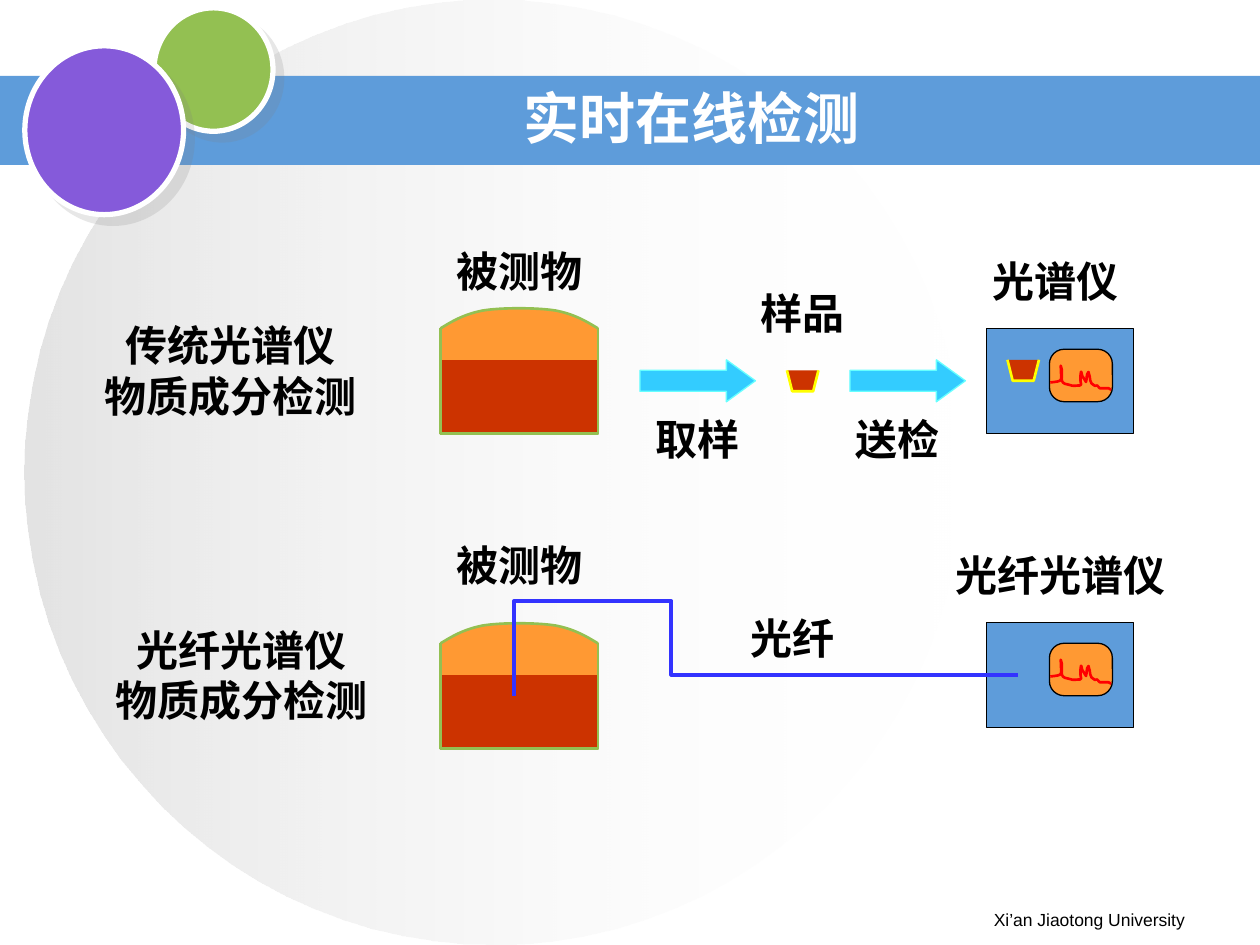
from lxml.etree import SubElement
from pptx import Presentation
from pptx.dml.color import RGBColor
from pptx.enum.shapes import MSO_SHAPE as SHAPE
from pptx.enum.text import MSO_ANCHOR as ANCHOR, PP_ALIGN as ALIGN
from pptx.oxml.ns import qn
from pptx.util import Pt

rgb = RGBColor.from_string
BLUE, GREEN, ORANGE, RED = "5E9CDA", "93C052", "FF9933", "CC3300"

prs = Presentation()
prs.slide_width, prs.slide_height = Pt(720), Pt(540)
slide = prs.slides.add_slide(prs.slide_layouts[5])
shapes = slide.shapes


def style(s, fill=None, line=None, width=0.75):
    s.shadow.inherit = False
    if fill:
        s.fill.solid()
        s.fill.fore_color.rgb = rgb(fill)
    else:
        s.fill.background()
    if line:
        s.line.color.rgb = rgb(line)
        s.line.width = Pt(width)
    else:
        s.line.fill.background()
    return s


def outline(x, y, points, fill, line, width=1.5, curved=False):
    """Draw an open path from points relative to (x, y); curved takes them as a Bezier chain."""
    corners = [(Pt(x + px), Pt(y + py)) for px, py in points]
    builder = shapes.build_freeform(*corners[0], scale=1.0)
    builder.add_line_segments(corners[1:], close=False)
    s = style(builder.convert_to_shape(), fill, line, width)
    if curved:
        track = next(s.element.spPr.iter(qn("a:path")))
        steps = track.findall(qn("a:lnTo"))
        for i in range(0, len(steps), 3):
            curve = SubElement(track, qn("a:cubicBezTo"))
            for step in steps[i:i + 3]:
                curve.append(step[0])
                track.remove(step)


# Backdrop: pale disc, title band, two overlapping circles
disc = style(shapes.add_shape(SHAPE.OVAL, Pt(14), Pt(0), Pt(536), Pt(540)))
disc.fill.gradient()
disc.fill.gradient_angle = 180
for stop, color in zip(disc.fill.gradient_stops, ("FFFFFF", "C0C0C0")):
    stop.color.rgb = rgb(color)
first, last = disc.element.spPr.iter(qn("a:srgbClr"))
for color, alpha in ((first, "0"), (last, "44000")):
    SubElement(color, qn("a:alpha"), val=alpha)

style(shapes.add_shape(SHAPE.RECTANGLE, Pt(0), Pt(43.3), Pt(720), Pt(51)), BLUE)

for x, y, w, h, color in ((88, 4.5, 68, 70.5, GREEN), (14.2, 26.2, 90.7, 96.5, "855ADA")):
    s = style(shapes.add_shape(SHAPE.OVAL, Pt(x), Pt(y), Pt(w), Pt(h)), color, "FFFFFF", 3)
    effects = s.element.spPr.find(qn("a:effectLst"))
    shadow = SubElement(effects, qn("a:outerShdw"), dist=str(Pt(7.1)), dir="2700000",
                        algn="ctr", rotWithShape="0")
    tint = SubElement(shadow, qn("a:srgbClr"), val="808080")
    SubElement(tint, qn("a:alpha"), val="19000")

# Title, brought in front of the band
title = shapes.title
shapes.element.append(title.element)
title.left, title.top, title.width, title.height = Pt(162), Pt(48), Pt(474), Pt(38.4)
title.text_frame.text = "实时在线检测 "
title.text_frame.vertical_anchor = ANCHOR.MIDDLE
p = title.text_frame.paragraphs[0]
p.alignment = ALIGN.CENTER
p.font.name, p.font.size, p.font.bold = "Arial", Pt(32), True
p.font.color.rgb = rgb("FFFFFF")

# Vessel and spectrometer of each method
dome = [(0, 12), (6.5, 8), (13, 4), (24, 1.8), (34.5, 0), (55, 0), (66, 1.8),
        (77, 4), (83.5, 8), (90, 12)]
spectrum = [(0.5, 19), (8.6, 18), (6.5, 18.7), (6.5, 9.4),
            (8.6, 15.1), (4.3, 19.4), (10.8, 20.2),
            (13.7, 20.9), (12.2, 20.9), (14.4, 20.9),
            (20.9, 20.2), (16.6, 22.3), (18, 13),
            (18, 12.2), (18.7, 14.4), (18.7, 15.1),
            (19.4, 17.3), (19.4, 17.3), (20.9, 18.7),
            (21.6, 16.6), (20.9, 14.4), (22.3, 13),
            (23.8, 16.6), (22.3, 19.4), (25.9, 20.9),
            (28.8, 20.2), (26.6, 21.6), (28.8, 22.3),
            (30.2, 22.3), (32.4, 22.3), (33.8, 22.3),
            (34.6, 23), (35.3, 23), (35.3, 23)]
for vessel_y, meter_y in ((175.7, 187.6), (355.7, 355.6)):
    outline(251.7, vessel_y, [(0, 12), (0, 72), (90, 72), (90, 12)], ORANGE, GREEN)
    outline(251.7, vessel_y, dome, ORANGE, GREEN, curved=True)
    outline(251.7, vessel_y, [(0, 30), (0, 72), (90, 72), (90, 30)], RED, GREEN)
    style(shapes.add_shape(SHAPE.RECTANGLE, Pt(563.7), Pt(meter_y), Pt(84), Pt(60)),
          BLUE, "000000")
    screen = style(shapes.add_shape(SHAPE.ROUNDED_RECTANGLE, Pt(599.7), Pt(meter_y + 12),
                                    Pt(36), Pt(30)), ORANGE, "000000")
    screen.adjustments[0] = 0.28
    outline(599.7, meter_y + 12, spectrum, None, "FF0000", curved=True)

# Sampling route and fibre route
for x, y in ((449.7, 211.6), (575.7, 205.6)):
    outline(x, y, [(0, 0), (3, 12), (15, 12), (18, 0)], RED, "FFFF00")
for x in (365.7, 485.7):
    arrow = style(shapes.add_shape(SHAPE.RIGHT_ARROW, Pt(x), Pt(205.6), Pt(66), Pt(24)),
                  "33CCFF", "66FFFF")
    arrow.adjustments[1] = 0.69
outline(293.7, 343.5, [(0, 54), (0, 0), (90, 0), (90, 42), (288, 42)], None, "3333FF", 2.25)

labels = [
    ("取样", 365.6, 235.5, 66, 30), ("送检", 479.8, 235.5, 66, 30),
    ("样品", 425.8, 163.5, 66, 30), ("光谱仪", 558, 145.5, 90, 30),
    ("被测物", 252, 139.5, 90, 30), ("传统光谱仪\n物质成分检测", 53.7, 175.6, 156, 72),
    ("光纤", 419.8, 349.6, 66, 30), ("光纤光谱仪", 540, 313.6, 132, 30),
    ("被测物", 252, 307.5, 90, 30), ("光纤光谱仪\n物质成分检测", 59.8, 349.6, 156, 72),
]
for text, x, y, w, h in labels:
    tf = shapes.add_textbox(Pt(x), Pt(y), Pt(w), Pt(h)).text_frame
    tf.margin_left = tf.margin_top = tf.margin_right = tf.margin_bottom = 0
    tf.word_wrap = True
    tf.vertical_anchor = ANCHOR.MIDDLE
    tf.text = text
    for p in tf.paragraphs:
        p.alignment = ALIGN.CENTER
        p.font.name, p.font.size, p.font.bold = "Times New Roman", Pt(24), True
        p.font.color.rgb = rgb("000000")

# Footer
tf = shapes.add_textbox(Pt(516), Pt(516), Pt(168), Pt(19.4)).text_frame
tf.word_wrap = True
tf.text = "Xi’an Jiaotong University"
p = tf.paragraphs[0]
p.alignment = ALIGN.RIGHT
p.font.name, p.font.size = "Arial", Pt(10)
p.font.color.rgb = rgb("000000")

prs.save("out.pptx")
